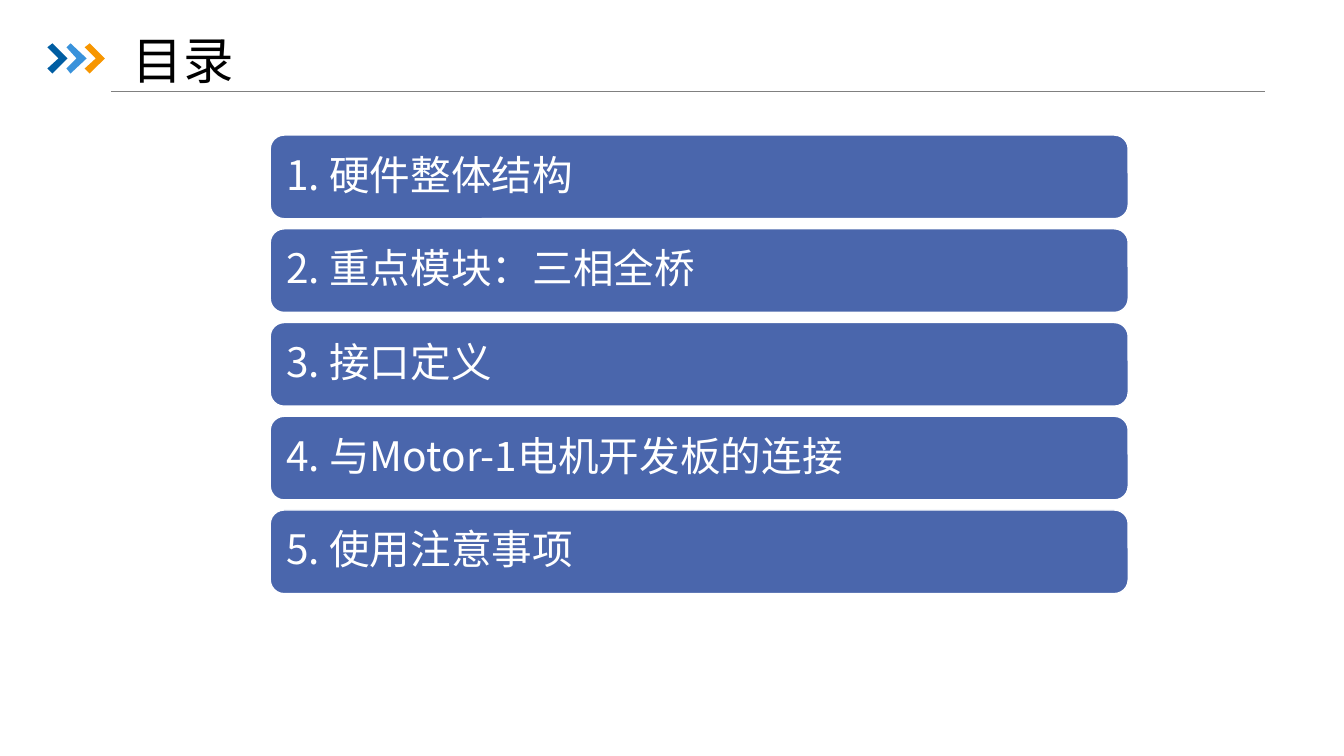
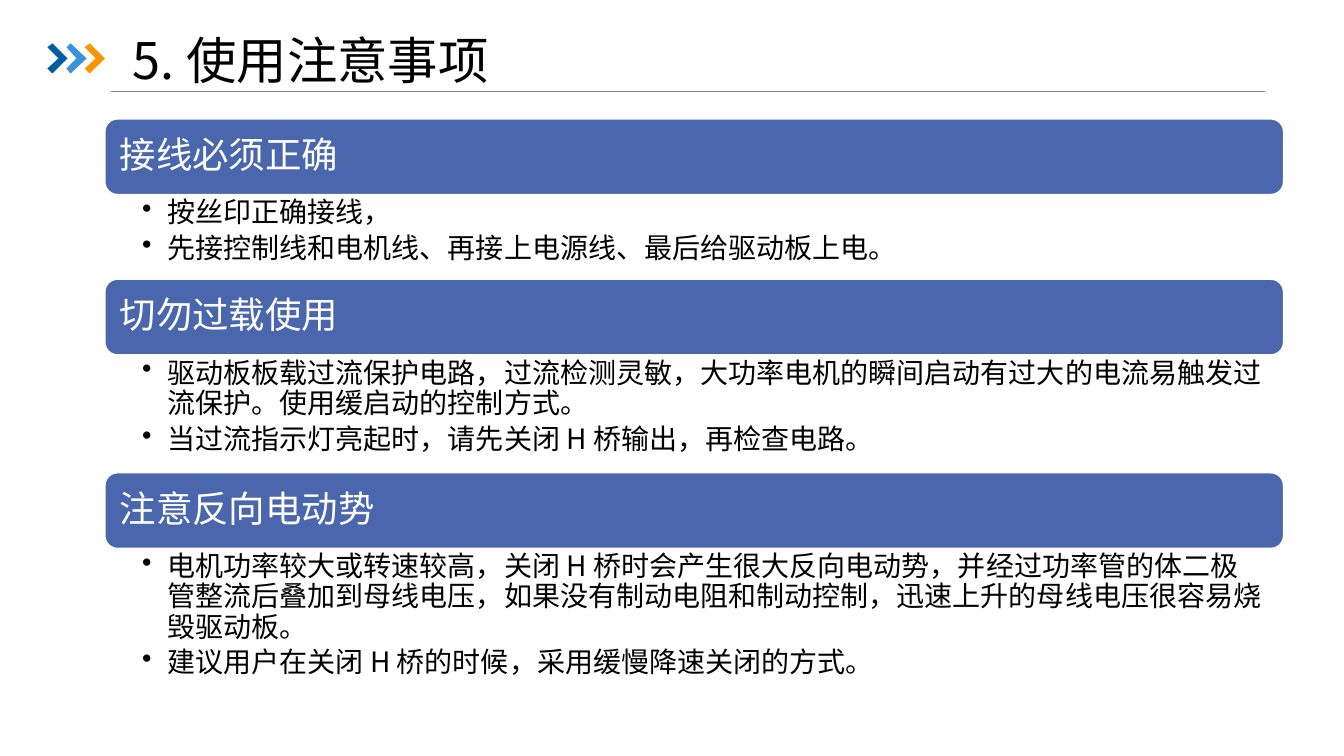
import lxml.etree
import pptx
import pptx.dml.color
import pptx.enum.shapes
import pptx.enum.text
import pptx.oxml.ns
import pptx.util

Inches = pptx.util.Inches
Points = pptx.util.Pt
Anchor = pptx.enum.text.MSO_ANCHOR

SLIDE_WIDTH, SLIDE_HEIGHT = 13.33, 7.5
FONT = "Noto Sans CJK SC"
BLACK, WHITE, GREY, BLUE = "000000", "FFFFFF", "808080", "4A66AC"
CHEVRON_COLORS = ["005DA2", "3992DB", "F79600"]
CHEVRON_OUTLINE = [(0, 4), (5, 0), (20, 15), (5, 30), (0, 25), (11, 15)]
CHEVRON_LEFT, CHEVRON_TOP, CHEVRON_PITCH = 47, 43, 18.5  # hundredths of an inch

AGENDA = [
    "1. 硬件整体结构",
    "2. 重点模块：三相全桥",
    "3. 接口定义",
    "4. 与Motor-1电机开发板的连接",
    "5. 使用注意事项",
]
# Heading, height of the text below it, bullets
PRECAUTIONS = [
    ("接线必须正确", 0.84, [
        "按丝印正确接线，",
        "先接控制线和电机线、再接上电源线、最后给驱动板上电。",
    ]),
    ("切勿过载使用", 1.17, [
        "驱动板板载过流保护电路，过流检测灵敏，大功率电机的瞬间启动有过大的电流易触发过流保护。使用缓启动的控制方式。",
        "当过流指示灯亮起时，请先关闭 H 桥输出，再检查电路。",
    ]),
    ("注意反向电动势", 1.53, [
        "电机功率较大或转速较高，关闭 H 桥时会产生很大反向电动势，并经过功率管的体二极管整流后叠加到母线电压，如果没有制动电阻和制动控制，迅速上升的母线电压很容易烧毁驱动板。",
        "建议用户在关闭 H 桥的时候，采用缓慢降速关闭的方式。",
    ]),
]


def color(hex_string):
    return pptx.dml.color.RGBColor.from_string(hex_string)


def add_child(parent, tag, **attributes):
    child = lxml.etree.SubElement(parent, pptx.oxml.ns.qn(tag))
    for name, value in attributes.items():
        child.set(name, value)


def set_bullet(paragraph, indent=0.25):
    paragraph.level = 1
    properties = paragraph._p.get_or_add_pPr()
    properties.set("marL", str(Inches(indent)))
    properties.set("indent", str(-Inches(indent)))
    add_child(properties, "a:buChar", char="•")


def write_text(shape, paragraphs, size, text_color=BLACK, anchor=Anchor.MIDDLE,
               insets=(0.1, 0.05, 0.1, 0.05), space_after=0, bulleted=False):
    """Fill a shape with paragraphs; insets are left, top, right, bottom."""
    frame = shape.text_frame
    frame.word_wrap = True
    frame.vertical_anchor = anchor
    (frame.margin_left, frame.margin_top,
     frame.margin_right, frame.margin_bottom) = map(Inches, insets)
    for index, text in enumerate(paragraphs):
        paragraph = frame.add_paragraph() if index else frame.paragraphs[0]
        if bulleted:
            set_bullet(paragraph)
        paragraph.alignment = pptx.enum.text.PP_ALIGN.LEFT
        paragraph.line_spacing = 0.9
        paragraph.space_after = Points(space_after)
        run = paragraph.add_run()
        run.text = text
        run.font.name = FONT
        run.font.size = Points(size)
        run.font.color.rgb = color(text_color)
        add_child(run.font._element, "a:ea", typeface=FONT)


def add_text(slide, box, paragraphs, size, **text_format):
    shape = slide.shapes.add_textbox(*map(Inches, box))
    write_text(shape, paragraphs, size, **text_format)


def add_bar(slide, box, text, size, inset):
    shape = slide.shapes.add_shape(
        pptx.enum.shapes.MSO_SHAPE.ROUNDED_RECTANGLE, *map(Inches, box))
    shape.shadow.inherit = False
    shape.fill.solid()
    shape.fill.fore_color.rgb = color(BLUE)
    shape.line.color.rgb = color(WHITE)
    shape.line.width = Points(1)
    write_text(shape, [text], size, text_color=WHITE, insets=[inset] * 4,
               space_after=0.35 * size)


def add_chevron(slide, index, fill):
    left = CHEVRON_LEFT + index * CHEVRON_PITCH
    points = [(left + x, CHEVRON_TOP + y) for x, y in CHEVRON_OUTLINE]
    builder = slide.shapes.build_freeform(*points[0], scale=Inches(0.01))
    builder.add_line_segments(points[1:], close=True)
    shape = builder.convert_to_shape()
    shape.shadow.inherit = False
    shape.fill.solid()
    shape.fill.fore_color.rgb = color(fill)
    shape.line.fill.background()


def add_rule(slide, left, right, top):
    rule = slide.shapes.add_connector(
        pptx.enum.shapes.MSO_CONNECTOR.STRAIGHT,
        *map(Inches, (left, top, right, top)))
    rule.line.color.rgb = color(GREY)
    rule.line.width = Points(0.5)
    add_child(rule._element.spPr, "a:effectLst")


def add_titled_slide(presentation, title):
    slide = presentation.slides.add_slide(presentation.slide_layouts[6])
    add_rule(slide, 1.1, 12.55, 0.91)
    for index, fill in enumerate(CHEVRON_COLORS):
        add_chevron(slide, index, fill)
    add_text(slide, (1.22, 0.41, 11.51, 0.43), [title], 36)
    return slide


def add_agenda(slide, left=2.68, top=1.34, width=8.51, height=0.83, gap=0.1):
    for index, text in enumerate(AGENDA):
        box = (left, top + index * (height + gap), width, height)
        add_bar(slide, box, text, 29, 0.12)


def add_precautions(slide, left=1.04, top=1.18, width=11.69, bar_height=0.75):
    for heading, body_height, bullets in PRECAUTIONS:
        add_bar(slide, (left, top, width, bar_height), heading, 26, 0.11)
        top += bar_height
        add_text(slide, (left, top, width, body_height), bullets, 20,
                 anchor=Anchor.TOP, insets=(0.37, 0.04, 0.2, 0.04),
                 space_after=4, bulleted=True)
        top += body_height


def main():
    presentation = pptx.Presentation()
    presentation.slide_width = Inches(SLIDE_WIDTH)
    presentation.slide_height = Inches(SLIDE_HEIGHT)
    add_agenda(add_titled_slide(presentation, "目录"))
    add_precautions(add_titled_slide(presentation, AGENDA[-1]))
    presentation.save("out.pptx")


if __name__ == "__main__":
    main()
